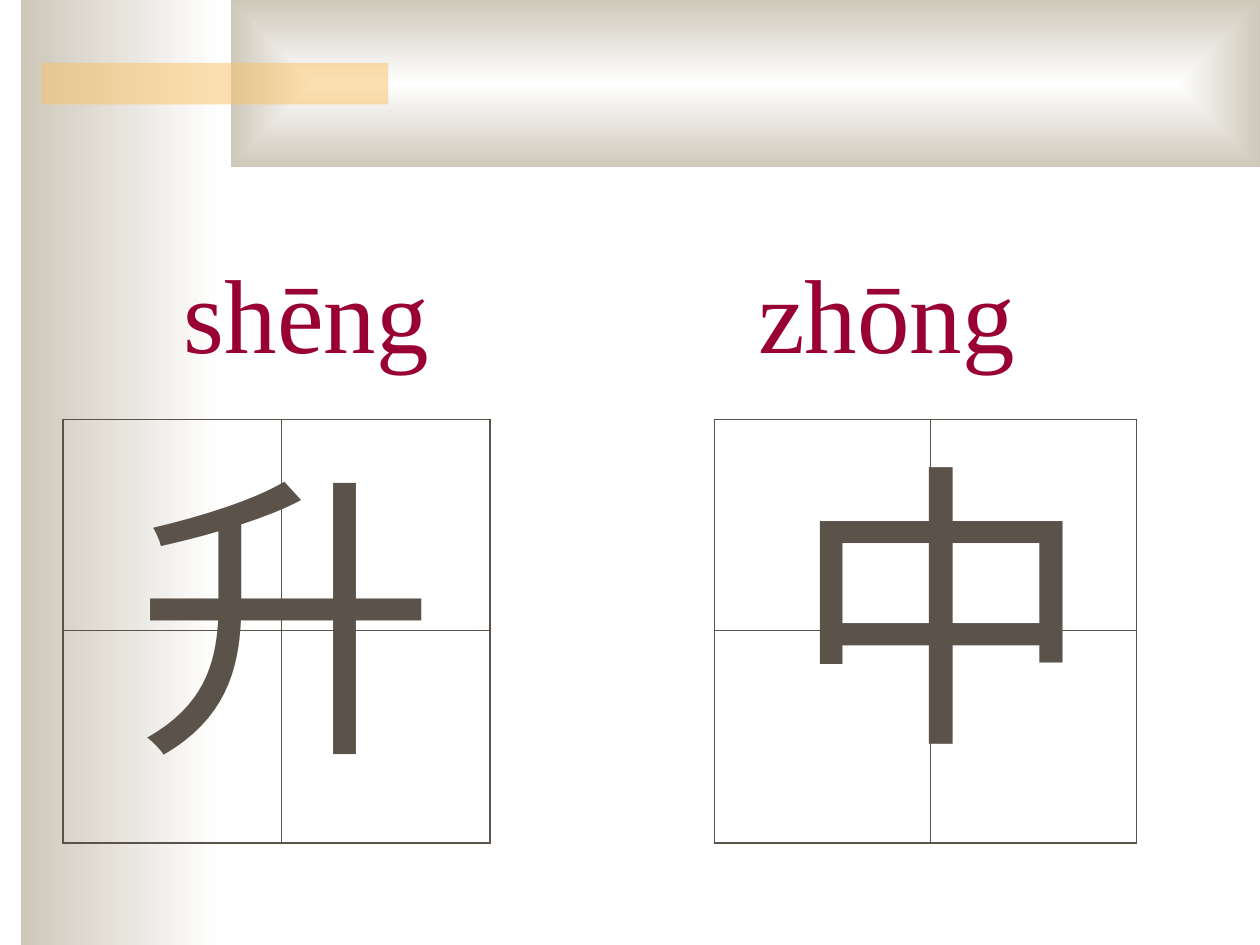
from lxml import etree
from pptx import Presentation
from pptx.dml.color import RGBColor
from pptx.enum.shapes import MSO_SHAPE
from pptx.enum.text import MSO_AUTO_SIZE
from pptx.oxml import parse_xml
from pptx.oxml.ns import nsdecls, qn
from pptx.util import Inches, Pt

RECT = MSO_SHAPE.RECTANGLE
GROW = MSO_AUTO_SIZE.SHAPE_TO_FIT_TEXT
WHITE = RGBColor(0xFF, 0xFF, 0xFF)
SAND = RGBColor(0xCE, 0xC8, 0xBA)
GOLD = RGBColor(0xFA, 0xC1, 0x64)
BROWN = RGBColor(0x5B, 0x52, 0x49)
RED = RGBColor(0x99, 0x00, 0x33)
FONT = "Times New Roman"
THIN, THICK = 0.45, 1.08

SIDE = (0.17, 0, 1.58, 7.5)
BANNER = (1.83, 0, 8.17, 1.33)
STRIPE = (0.33, 0.5, 2.75, 0.33)
ROWS = (1.67, 1.69)
GRIDS = [  # left, top, column widths
    (0.5, 3.33, (1.73, 1.66)),
    (5.67, 3.33, (1.71, 1.64)),
]
TEXTS = [  # text, box, size, colour
    ("shēng", (1.36, 1.92, 2.2, 1.1), 60, RED),
    ("zhōng", (5.92, 1.92, 3.17, 1.1), 60, RED),
    ("升", (0.98, 3.36, 2.36, 2.97), 172, BROWN),
    ("中", (6.18, 3.28, 2.36, 2.97), 172, BROWN),
]


def inches(box):
    return [Inches(v) for v in box]


def add_rect(slide, box):
    shape = slide.shapes.add_shape(RECT, *inches(box))
    shape.shadow.inherit = False
    shape.line.fill.background()
    return shape


def fade(shape):
    """Fill from white to sand, with the sand on the left."""
    fill = shape.fill
    fill.gradient()
    fill.gradient_angle = 180
    for stop, color in zip(fill.gradient_stops, (WHITE, SAND)):
        stop.color.rgb = color


def fade_out(shape):
    """Fill from a white centre to sand at all four edges."""
    fade(shape)
    line = shape._element.spPr.find(".//" + qn("a:lin"))
    line.getparent().replace(line, parse_xml(
        f'<a:path {nsdecls("a")} path="rect"><a:fillToRect '
        'l="50000" t="50000" r="50000" b="50000"/></a:path>'))


def add_edge(cell, side, width):
    props = cell._tc.get_or_add_tcPr()
    props.append(parse_xml(
        f'<a:ln{side} {nsdecls("a")} w="{Pt(width)}"><a:solidFill>'
        f'<a:srgbClr val="{BROWN}"/></a:solidFill></a:ln{side}>'))


def add_grid(slide, left, top, cols):
    box = inches((left, top, sum(cols), sum(ROWS)))
    table = slide.shapes.add_table(len(ROWS), len(cols), *box).table
    table.first_row = table.horz_banding = False
    for col, width in zip(table.columns, cols):
        col.width = Inches(width)
    for row, height in zip(table.rows, ROWS):
        row.height = Inches(height)
    for r in range(2):
        for c in range(2):
            cell = table.cell(r, c)
            outer = {"L": c == 0, "R": c == 1,
                     "T": r == 0 and c == 1, "B": r == 1}
            for side, thick in outer.items():
                add_edge(cell, side, THICK if thick else THIN)
            cell.fill.background()


def add_text(slide, text, box, size, color):
    frame = slide.shapes.add_textbox(*inches(box)).text_frame
    frame.text = text
    frame.word_wrap = True
    frame.auto_size = GROW
    font = frame.paragraphs[0].runs[0].font
    font.name, font.size = FONT, Pt(size)
    font.color.rgb = color


def main():
    prs = Presentation()
    prs.slide_width, prs.slide_height = Inches(10), Inches(7.5)
    slide = prs.slides.add_slide(prs.slide_layouts[6])

    fade(add_rect(slide, SIDE))
    fade_out(add_rect(slide, BANNER))
    stripe = add_rect(slide, STRIPE)
    stripe.fill.solid()
    stripe.fill.fore_color.rgb = GOLD
    color = stripe._element.spPr.find(".//" + qn("a:srgbClr"))
    etree.SubElement(color, qn("a:alpha"), val="50000")

    for grid in GRIDS:
        add_grid(slide, *grid)
    for item in TEXTS:
        add_text(slide, *item)
    prs.save("out.pptx")


if __name__ == "__main__":
    main()
